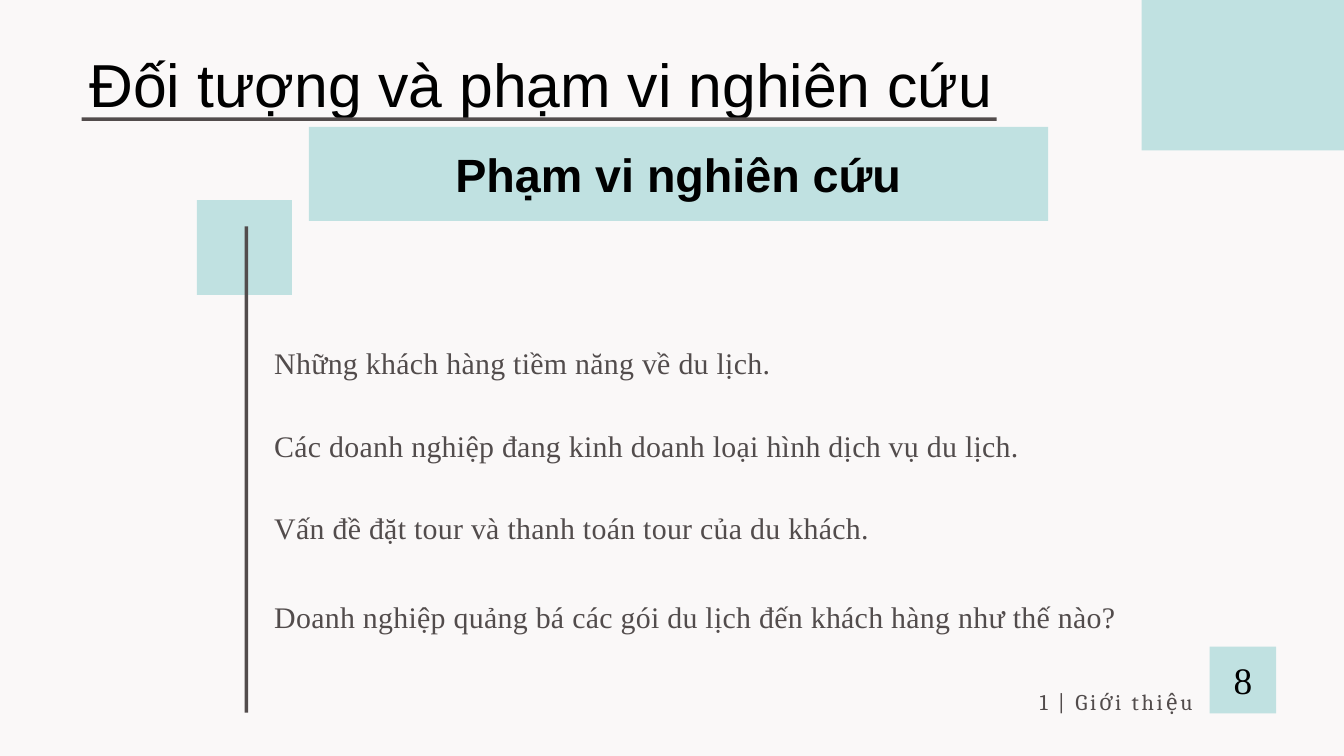
from dataclasses import dataclass

from pptx import Presentation
from pptx.dml.color import RGBColor
from pptx.enum.shapes import MSO_SHAPE
from pptx.enum.text import MSO_ANCHOR, MSO_AUTO_SIZE, PP_ALIGN
from pptx.util import Pt

RECT = MSO_SHAPE.RECTANGLE
MIDDLE = MSO_ANCHOR.MIDDLE
GROW = MSO_AUTO_SIZE.SHAPE_TO_FIT_TEXT
LEFT, CENTER = PP_ALIGN.LEFT, PP_ALIGN.CENTER

COLORS = {
    "background": "FAF8F8",
    "accent": "C0E1E1",
    "ink": "524C4C",
    "black": "000000",
}


@dataclass
class Box:
    left: float
    top: float
    width: float
    height: float


@dataclass
class Style:
    font: str
    size: float
    color: str
    bold: bool = False
    spacing: float = 0  # between letters, in points
    line: float = 0  # line height in points, 0 for single spacing
    align: PP_ALIGN = LEFT


TITLE = Style("Arial", 65, "black", line=82.5)
HEADING = Style("Arial", 50, "black", bold=True, align=CENTER)
BODY = Style("Times New Roman", 32, "ink", spacing=0.3, line=45)
NUMBER = Style("Times New Roman", 40, "black", align=CENTER)
FOOTER = Style("Cambria", 24, "ink", spacing=2.9, line=33.6, align=CENTER)


def rgb(name: str) -> RGBColor:
    return RGBColor.from_string(COLORS[name])


def write(tf, text: str, style: Style) -> None:
    tf.word_wrap = True
    tf.text = text
    p = tf.paragraphs[0]
    p.alignment = style.align
    if style.line:
        p.line_spacing = Pt(style.line)
    r = p.runs[0]
    r.font.name = style.font
    r.font.size = Pt(style.size)
    r.font.bold = style.bold
    r.font.color.rgb = rgb(style.color)
    if style.spacing:
        r.font._element.set("spc", str(round(style.spacing * 100)))


def add_block(s, box: Box, color: str, text: str = "", style: Style = BODY) -> None:
    sp = s.shapes.add_shape(RECT, Pt(box.left), Pt(box.top), Pt(box.width), Pt(box.height))
    sp.shadow.inherit = False
    sp.fill.solid()
    sp.fill.fore_color.rgb = rgb(color)
    sp.line.fill.background()
    if text:
        sp.text_frame.vertical_anchor = MIDDLE
        write(sp.text_frame, text, style)


def add_text(s, box: Box, text: str, style: Style) -> None:
    sp = s.shapes.add_textbox(Pt(box.left), Pt(box.top), Pt(box.width), Pt(box.height))
    tf = sp.text_frame
    tf.margin_left = tf.margin_right = tf.margin_top = tf.margin_bottom = 0
    write(tf, text, style)
    tf.auto_size = GROW


# Top and width of each scope statement
STATEMENTS = [
    (362.9, 573, "Những khách hàng tiềm năng về du lịch."),
    (451.4, 828, "Các doanh nghiệp đang kinh doanh loại hình dịch vụ du lịch."),
    (539.3, 828, "Vấn đề đặt tour và thanh toán tour của du khách."),
    (634.3, 960, "Doanh nghiệp quảng bá các gói du lịch đến khách hàng như thế nào?"),
]


def main() -> None:
    prs = Presentation()
    prs.slide_width, prs.slide_height = Pt(1440), Pt(810)
    s = prs.slides.add_slide(prs.slide_layouts[6])
    s.background.fill.solid()
    s.background.fill.fore_color.rgb = rgb("background")

    # Corner block, bleeding over the slide edge
    add_block(s, Box(1223.3, -27.4, 288, 188.6), "accent")

    # Square and vertical rule beside the statements
    add_block(s, Box(211, 214.3, 101.8, 101.8), "accent")
    add_block(s, Box(262, 242.6, 3.8, 521), "ink")

    # Title with underline
    add_text(s, Box(95.8, 45.4, 1137.6, 77.8), "Đối tượng và phạm vi nghiên cứu", TITLE)
    add_block(s, Box(87.6, 125.7, 980.4, 3.8), "ink")

    # Statements
    for top, width, text in STATEMENTS:
        add_text(s, Box(293.8, top, width, 45), text, BODY)

    # Page number and section footer
    add_block(s, Box(1296, 692.9, 71.4, 71.4), "accent", "8", NUMBER)
    add_text(s, Box(894.2, 733, 603.4, 31.7), "1 | Giới thiệu", FOOTER)

    # Section heading
    add_block(s, Box(331, 136, 792, 100.8), "accent", "Phạm vi nghiên cứu", HEADING)

    prs.save("out.pptx")


if __name__ == "__main__":
    main()
